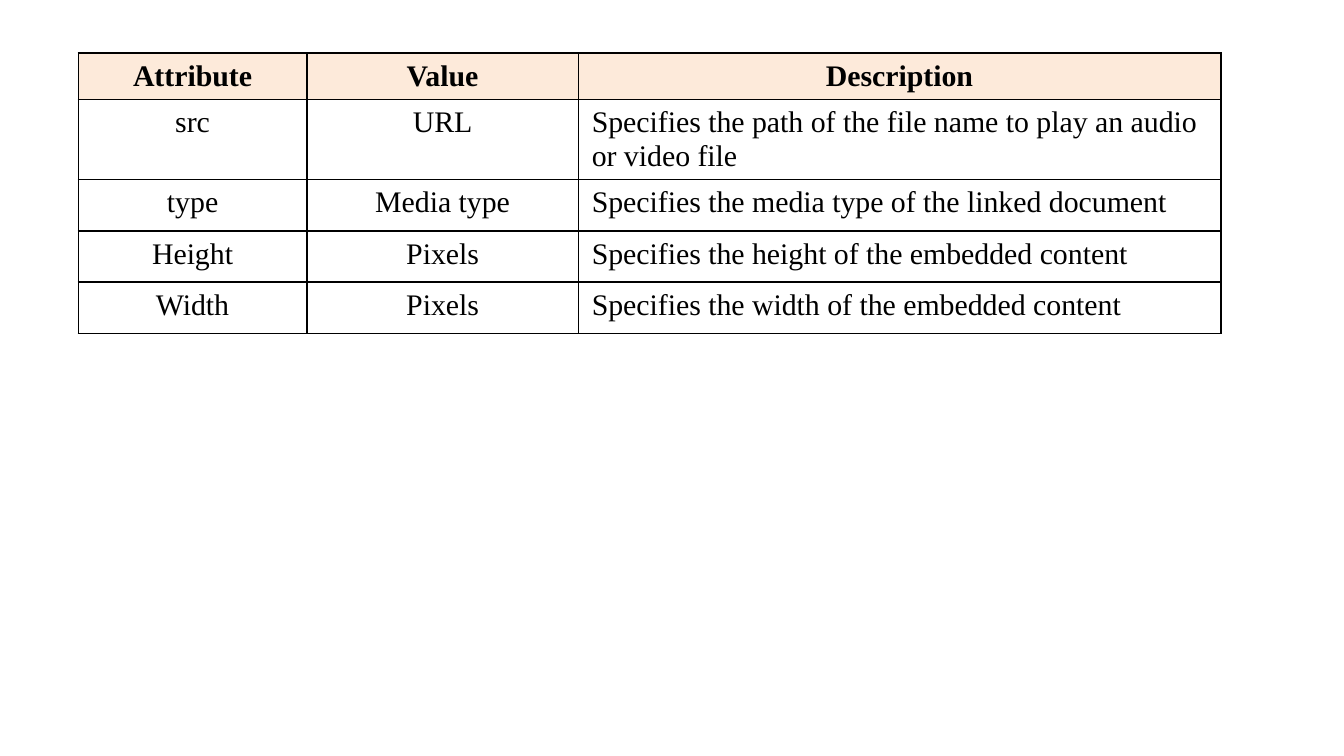
import lxml.etree
import pptx
import pptx.dml.color
import pptx.enum.text
import pptx.oxml.ns
import pptx.util

Cm = pptx.util.Cm
ALIGN = pptx.enum.text.PP_ALIGN

COLORS = {"text": "000000", "border": "000000", "header": "FDEADA"}
FONT = "Times New Roman"

COLUMN_WIDTHS = [4.32, 5.13, 12.14]
ROW_HEIGHTS = [0.86, 1.5, 0.97, 0.97, 0.97]
ROWS = [
    ("Attribute", "Value", "Description"),
    ("src", "URL", "Specifies the path of the file name to play an audio or video file"),
    ("type", "Media type", "Specifies the media type of the linked document"),
    ("Height", "Pixels", "Specifies the height of the embedded content"),
    ("Width", "Pixels", "Specifies the width of the embedded content"),
]


def rgb(name):
    return pptx.dml.color.RGBColor.from_string(COLORS[name])


def write_text(text_frame, text, size=16, bold=False, color="text", align=ALIGN.LEFT):
    paragraph = text_frame.paragraphs[0]
    paragraph.alignment = align
    run = paragraph.add_run()
    run.text = text
    run.font.name = FONT
    run.font.size = pptx.util.Pt(size)
    run.font.bold = bold
    run.font.color.rgb = rgb(color)


def add_borders(cell, width=1):
    properties = cell._tc.get_or_add_tcPr()
    qn = pptx.oxml.ns.qn
    for side in ("a:lnL", "a:lnR", "a:lnT", "a:lnB"):
        line = lxml.etree.SubElement(properties, qn(side), w=str(pptx.util.Pt(width)))
        fill = lxml.etree.SubElement(line, qn("a:solidFill"))
        lxml.etree.SubElement(fill, qn("a:srgbClr"), val=COLORS["border"])


def add_attribute_table(slide, left, top):
    table = slide.shapes.add_table(
        len(ROWS), len(COLUMN_WIDTHS), Cm(left), Cm(top),
        Cm(sum(COLUMN_WIDTHS)), Cm(sum(ROW_HEIGHTS))).table
    table.first_row = False
    table.horz_banding = False
    for column, width in zip(table.columns, COLUMN_WIDTHS):
        column.width = Cm(width)
    for row, height in zip(table.rows, ROW_HEIGHTS):
        row.height = Cm(height)

    for row_index, texts in enumerate(ROWS):
        is_header = row_index == 0
        for column_index, text in enumerate(texts):
            cell = table.cell(row_index, column_index)
            add_borders(cell)
            if is_header:
                cell.fill.solid()
                cell.fill.fore_color.rgb = rgb("header")
            else:
                cell.fill.background()
            is_centered = is_header or column_index < 2
            write_text(cell.text_frame, text, bold=is_header,
                       align=ALIGN.CENTER if is_centered else ALIGN.LEFT)


def main():
    presentation = pptx.Presentation()
    presentation.slide_width = Cm(25.4)
    presentation.slide_height = Cm(14.29)
    slide = presentation.slides.add_slide(presentation.slide_layouts[6])
    add_attribute_table(slide, left=1.48, top=1)
    presentation.save("out.pptx")


if __name__ == "__main__":
    main()
